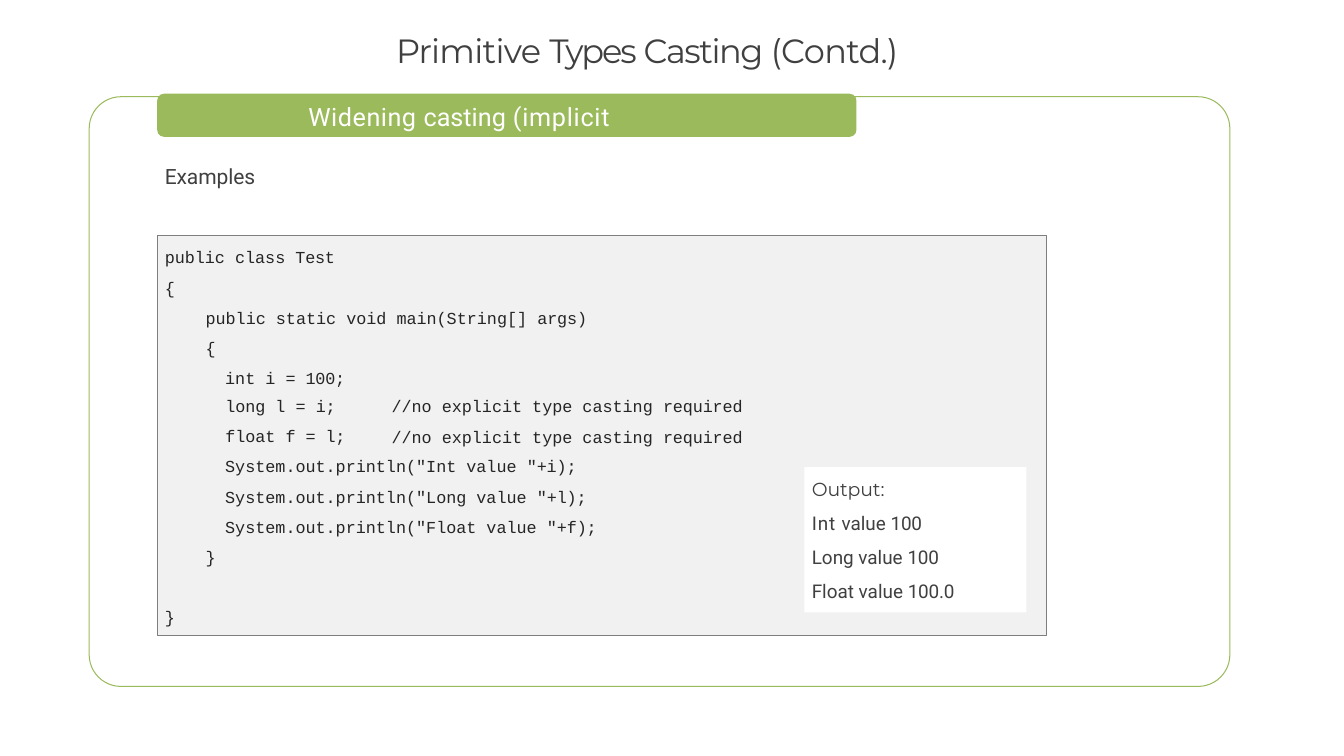
import pptx
import pptx.util
import pptx.dml.color
import pptx.enum.shapes
import pptx.enum.text

Inches = pptx.util.Inches
Pt = pptx.util.Pt
SHAPES = pptx.enum.shapes.MSO_SHAPE

GREEN, GREY, INK, WHITE = "9BBA5C", "404040", "252525", "FFFFFF"
HEADING, BODY, CODE = "Montserrat", "Roboto", "Courier New"


def colour(hex_code):
    return pptx.dml.color.RGBColor.from_string(hex_code)


class Deck:
    """Holds the presentation, the current slide and its text style."""

    def __init__(self, width, height):
        self.file = pptx.Presentation()
        self.file.slide_width = Inches(width)
        self.file.slide_height = Inches(height)
        self.slide = self.file.slides.add_slide(self.file.slide_layouts[5])

    def fill_text(self, shape, lines, font, size, ink, indents=(0,), gap=0,
                  spacing=1.0, top=0.01, wrap=True):
        frame = shape.text_frame
        frame.word_wrap = wrap
        frame.auto_size = pptx.enum.text.MSO_AUTO_SIZE.NONE
        frame.vertical_anchor = pptx.enum.text.MSO_ANCHOR.TOP
        frame.margin_left = frame.margin_right = frame.margin_bottom = 0
        frame.margin_top = Inches(top)
        for number, runs in enumerate(lines):
            paragraph = frame.add_paragraph() if number else frame.paragraphs[0]
            paragraph.alignment = pptx.enum.text.PP_ALIGN.LEFT
            paragraph.line_spacing = spacing
            paragraph.space_before = Pt(gap if number else 0)
            indent = indents[number % len(indents)]
            properties = paragraph._p.get_or_add_pPr()
            properties.set("marL", str(Inches(indent)))
            properties.set("indent", "0")
            for words, tracking in runs:
                run = paragraph.add_run()
                run.text = words
                run.font.name = font if isinstance(font, str) else font[number]
                run.font.size = Pt(size)
                run.font.color.rgb = colour(ink)
                run._r.get_or_add_rPr().set("spc", str(round(tracking * 100)))

    def title(self, box, runs, size, indent):
        heading = self.slide.shapes.title
        heading.left, heading.top, heading.width, heading.height = map(Inches, box)
        self.fill_text(heading, [runs], HEADING, size, GREY, indents=(indent,))

    def text(self, box, lines, font, size, ink, **layout):
        label = self.slide.shapes.add_textbox(*map(Inches, box))
        self.fill_text(label, lines, font, size, ink, **layout)

    def panel(self, box, kind=SHAPES.RECTANGLE, fill=None, line=None,
              weight=1, radius=0):
        panel = self.slide.shapes.add_shape(kind, *map(Inches, box))
        panel.shadow.inherit = False
        if radius:
            panel.adjustments[0] = radius / min(box[2:])
        if fill:
            panel.fill.solid()
            panel.fill.fore_color.rgb = colour(fill)
        else:
            panel.fill.background()
        if line:
            panel.line.color.rgb = colour(line)
            panel.line.width = Pt(weight)
        else:
            panel.line.fill.background()
        return panel


def main():
    deck = Deck(17.78, 10)
    deck.title((3.23, 0.38, 11.33, 0.65),
               [("Primitive ", -0.7), ("Types ", -2), ("Casting ", -1.4),
                ("(Contd.)", -0.7)], 32, 2.01)

    rounded = SHAPES.ROUNDED_RECTANGLE
    deck.panel((2.08, 1.24, 9.25, 0.57), rounded, fill=GREEN, radius=0.09)
    deck.text((4.07, 1.33, 5.27, 0.43),
              [[("Widening ", 0.5), ("casting", 0), (" (implicit", 0.7)]],
              BODY, 24, WHITE, indents=(0.01,))
    deck.panel((1.18, 1.28, 15.09, 7.8), rounded, line=GREEN, weight=0.96,
               radius=0.42)
    deck.panel((2.08, 3.11, 11.76, 5.3), fill="F1F1F1", line="7E7E7E", weight=0.72)

    deck.text((2.17, 2.15, 5.64, 0.35), [[("Examples", -0.1)]], BODY, 20, GREY,
              indents=(0.01,))
    opening = [
        [("public class ", 0), ("Test", -0.2)],
        [("{", -0.5)],
        [("public static void main(String[] ", 0), ("args)", -0.1)],
        [("{", -0.5)],
        [("int i = ", 0), ("100;", -0.2)],
    ]
    deck.text((2.17, 3.26, 5.64, 1.86), opening, CODE, 16, INK,
              indents=(0.01, 0.01, 0.55, 0.55, 0.81), gap=9.6)

    declarations = [[("long l = ", 0), ("i;", -0.2)],
                    [("float f =", 0), (" l;", -0.2)]]
    deck.text((2.98, 5.09, 1.62, 0.83), declarations, CODE, 16, INK,
              spacing=1.5, wrap=False)
    remark = [("//no explicit type casting ", 0), ("required", -0.1)]
    deck.text((5.18, 5.09, 4.69, 0.83), [remark] * 2, CODE, 16, INK,
              gap=9.7, top=0.15, wrap=False)

    prints = [[(f'System.out.println("{kind} value ', 0), (f'"+{variable});', -0.1)]
              for kind, variable in (("Int", "i"), ("Long", "l"), ("Float", "f"))]
    deck.text((2.98, 5.89, 4.96, 1.23), prints, CODE, 16, INK,
              spacing=1.5, wrap=False)
    for left, top in ((2.72, 7.22), (2.18, 8.02)):
        deck.text((left, top, 0.15, 0.29), [[("}", -0.5)]], CODE, 16, INK)

    output = deck.panel((10.64, 6.18, 2.94, 1.92), fill=WHITE)
    results = [
        [("Output:", -0.1)],
        [("Int ", 0.8), ("value ", 0), ("100", -0.2)],
        [("Long value ", 0), ("100", -0.2)],
        [("Float value ", 0), ("100.0", -0.2)],
    ]
    deck.fill_text(output, results, (HEADING, BODY, BODY, BODY), 18, GREY,
                   indents=(0.1,), gap=10.8, top=0.14)
    deck.file.save("out.pptx")


if __name__ == "__main__":
    main()
